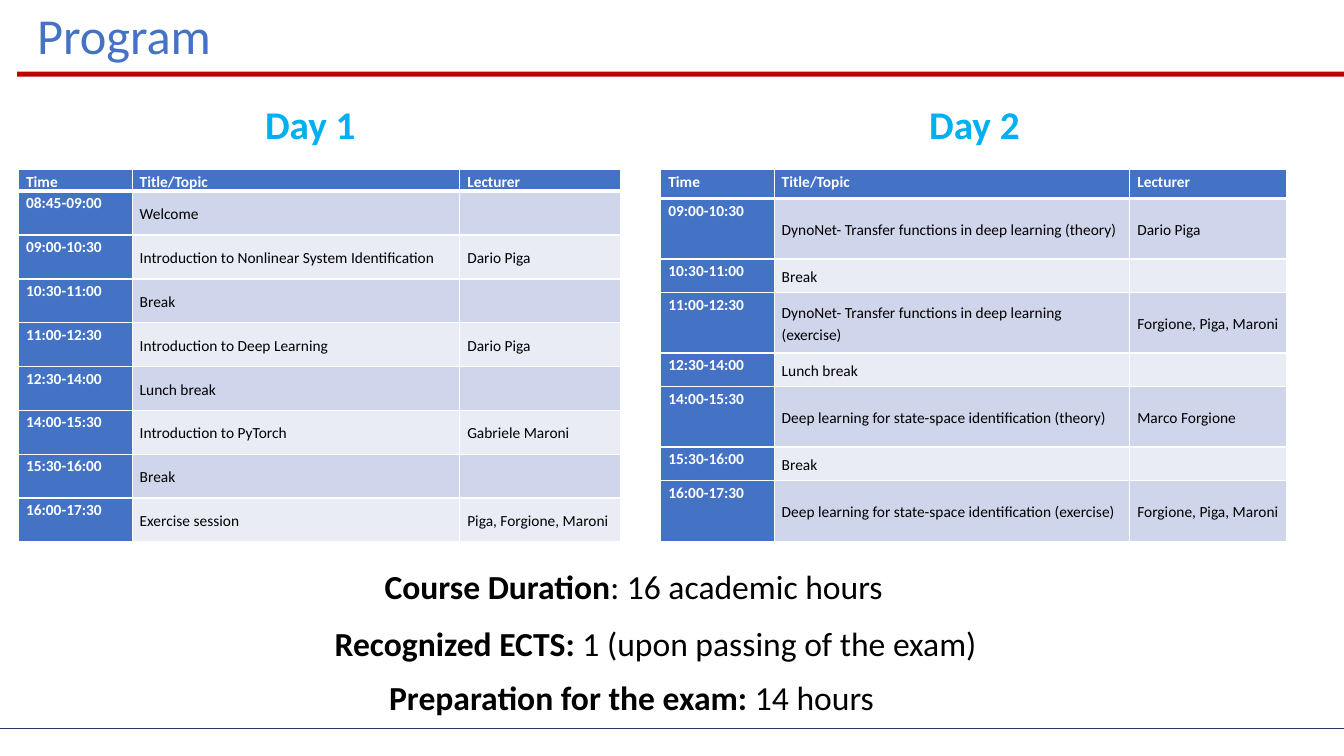
from lxml import etree
from pptx import Presentation
from pptx import util as u
from pptx.dml.color import RGBColor
from pptx.enum import shapes, text
from pptx.oxml import ns

BLUE = RGBColor(0x44, 0x72, 0xC4)
CYAN = RGBColor(0x00, 0xB0, 0xF0)
RED = RGBColor(0xC0, 0x00, 0x00)
NAVY = RGBColor(0x20, 0x38, 0x64)
BLACK = RGBColor(0, 0, 0)
WHITE = RGBColor(0xFF, 0xFF, 0xFF)
BANDS = RGBColor(0xCF, 0xD5, 0xEA), RGBColor(0xE9, 0xEB, 0xF5)

HEADER = ("Time", "Title/Topic", "Lecturer")
DAY_1 = [
    HEADER,
    ("08:45-09:00", "Welcome", ""),
    ("09:00-10:30", "Introduction to Nonlinear System Identification", "Dario Piga"),
    ("10:30-11:00", "Break", ""),
    ("11:00-12:30", "Introduction to Deep Learning", "Dario Piga"),
    ("12:30-14:00", "Lunch break", ""),
    ("14:00-15:30", "Introduction to PyTorch", "Gabriele Maroni"),
    ("15:30-16:00", "Break", ""),
    ("16:00-17:30", "Exercise session", "Piga, Forgione, Maroni"),
]
DAY_2 = [
    HEADER,
    ("09:00-10:30", "DynoNet- Transfer functions in deep learning (theory)", "Dario Piga"),
    ("10:30-11:00", "Break", ""),
    ("11:00-12:30", "DynoNet- Transfer functions in deep learning (exercise)",
     "Forgione, Piga, Maroni"),
    ("12:30-14:00", "Lunch break", ""),
    ("14:00-15:30", "Deep learning for state-space identification (theory)",
     "Marco Forgione"),
    ("15:30-16:00", "Break", ""),
    ("16:00-17:30", "Deep learning for state-space identification (exercise)",
     "Forgione, Piga, Maroni"),
]


class ProgramSlide:
    font_name = "Calibri"

    def __init__(self, slide):
        self.slide = slide

    def style(self, font, size, color, bold=None):
        font.name, font.size, font.bold = self.font_name, u.Pt(size), bold
        font.color.rgb = color

    def bar(self, left, top, width, height, color):
        bar = self.slide.shapes.add_shape(
            shapes.MSO_SHAPE.RECTANGLE, *map(u.Pt, (left, top, width, height)))
        bar.shadow.inherit = False
        bar.fill.solid()
        bar.fill.fore_color.rgb = color
        bar.line.fill.background()

    def rule(self, left, right, y, color, weight):
        rule = self.slide.shapes.add_connector(
            shapes.MSO_CONNECTOR.STRAIGHT, *map(u.Pt, (left, y, right, y)))
        rule.line.color.rgb = color
        rule.line.width = u.Pt(weight)
        etree.SubElement(rule._element.spPr, ns.qn("a:effectLst"))

    def label(self, left, top, width, height, size, color, wording, bold=None):
        """Add a one-line text box and return its paragraph."""
        box = self.slide.shapes.add_textbox(*map(u.Pt, (left, top, width, height)))
        box.text_frame.word_wrap = True
        box.text_frame.auto_size = text.MSO_AUTO_SIZE.SHAPE_TO_FIT_TEXT
        line = box.text_frame.paragraphs[0]
        line.text = wording
        self.style(line.font, size, color, bold)
        return line

    def fact(self, left, top, width, name, value):
        """Add a centred line with a bold name and a plain value."""
        line = self.label(left, top, width, 36, 24, BLACK, "")
        line.alignment = text.PP_ALIGN.CENTER
        for wording, bold in ((name, True), (value, False)):
            run = line.add_run()
            run.text = wording
            run.font.bold = bold

    def borders(self, cell, header, below_header):
        weights = {"L": 1, "R": 1, "T": 3 if below_header else 1, "B": 3 if header else 1}
        for position, (side, weight) in enumerate(weights.items()):
            edge = etree.Element(ns.qn("a:ln" + side), w=str(u.Pt(weight)))
            fill = etree.SubElement(edge, ns.qn("a:solidFill"))
            etree.SubElement(fill, ns.qn("a:srgbClr"), val=str(WHITE))
            cell._tc.get_or_add_tcPr().insert(position, edge)

    def cell(self, cell, wording, row, column):
        heading = row == 0 or column == 0
        cell.fill.solid()
        cell.fill.fore_color.rgb = BLUE if heading else BANDS[(row - 1) % 2]
        self.borders(cell, row == 0, row == 1)
        cell.margin_left = cell.margin_right = u.Pt(5.4)
        cell.margin_top = cell.margin_bottom = 0
        if not heading:
            cell.vertical_anchor = text.MSO_ANCHOR.MIDDLE
        if wording:
            line = cell.text_frame.paragraphs[0]
            line.text = wording
            line.line_spacing = 1.15
            line.space_after = u.Pt(6)
            self.style(line.font, 11, WHITE if heading else BLACK, heading)

    def timetable(self, left, top, widths, heights, sessions):
        frame = self.slide.shapes.add_table(
            len(sessions), len(widths),
            *map(u.Pt, (left, top, sum(widths), sum(heights))))
        table = frame.table
        table.first_col = True
        for column, width in zip(table.columns, widths):
            column.width = u.Pt(width)
        for row, height in zip(table.rows, heights):
            row.height = u.Pt(height)
        for r, session in enumerate(sessions):
            for c, wording in enumerate(session):
                self.cell(table.cell(r, c), wording, r, c)


def main():
    deck = Presentation()
    deck.slide_width, deck.slide_height = u.Pt(960), u.Pt(540)
    program = ProgramSlide(deck.slides.add_slide(deck.slide_layouts[6]))

    program.bar(12.2, 51.1, 947.8, 3.6, RED)
    program.rule(0, 960, 520.5, NAVY, 0.5)
    program.timetable(13.2, 121, (81.2, 234, 115.2), [15.4] + [31.3] * 8, DAY_1)
    program.timetable(472, 121, (81, 254, 111.8),
                      [20.8] + [43.2, 24] * 3 + [43.2], DAY_2)

    program.label(19.4, -0.7, 924.5, 51, 36, BLUE, "Program")
    for day, left in (("Day 1", 182.2), ("Day 2", 656.6)):
        program.label(left, 68.4, 106.6, 41, 28, CYAN, day, True)

    program.fact(254.2, 401, 396.7, "Course Duration", ": 16 academic hours")
    program.fact(224.6, 441.4, 487.4, "Recognized ECTS: ", "1 (upon passing of the exam)")
    program.fact(252.7, 480.2, 396.7, "Preparation for the exam: ", "14 hours")

    deck.save("out.pptx")


if __name__ == "__main__":
    main()
